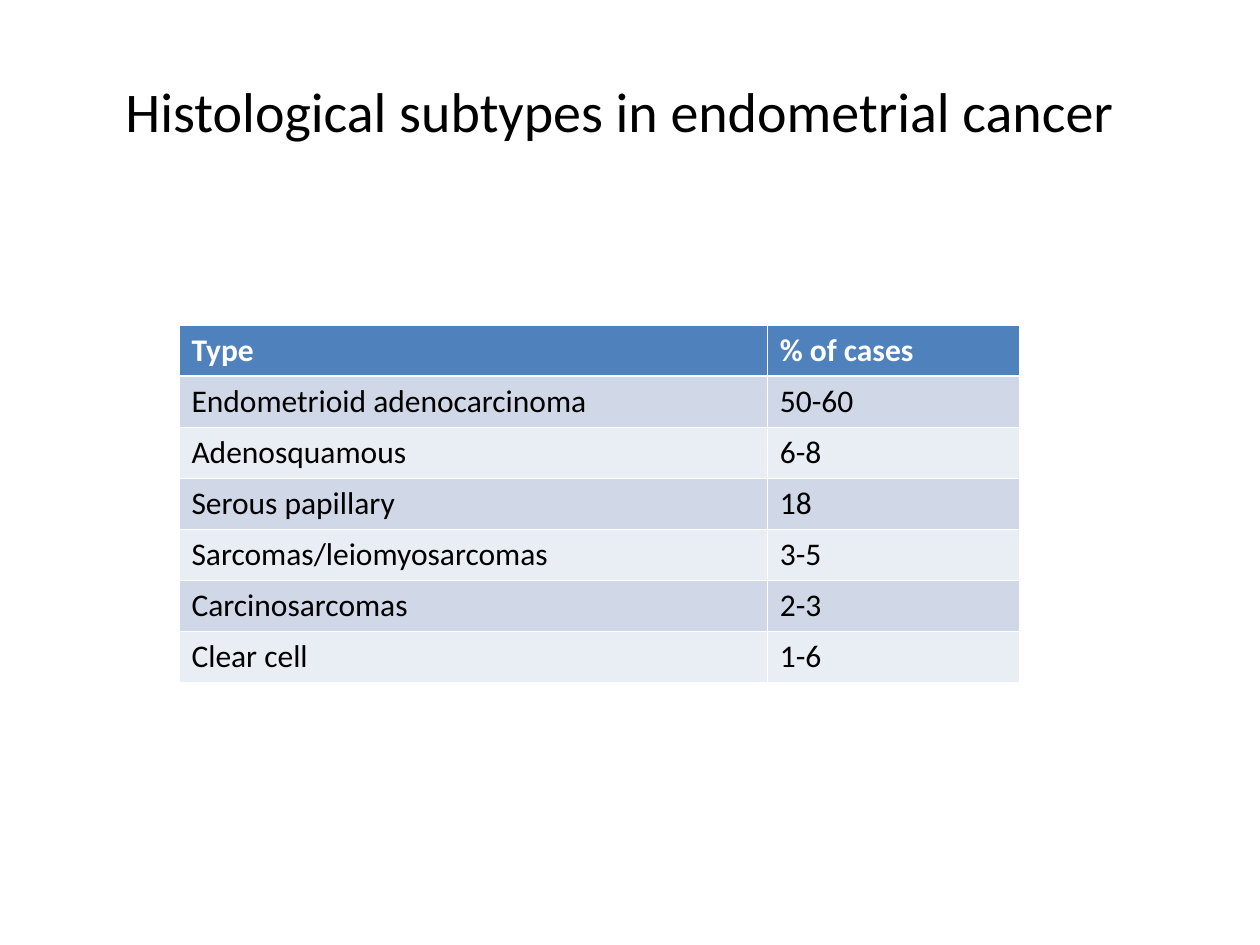
"""Build a slide tabulating the histological subtypes of endometrial cancer."""
from typing import NamedTuple

from pptx import Presentation
from pptx.dml.color import RGBColor
from pptx.enum.text import MSO_ANCHOR, PP_ALIGN
from pptx.util import Inches, Pt

BLACK = RGBColor(0x00, 0x00, 0x00)
WHITE = RGBColor(0xFF, 0xFF, 0xFF)
HEADER_BLUE = RGBColor(0x4F, 0x81, 0xBD)
BANDS = (RGBColor(0xD0, 0xD8, 0xE8), RGBColor(0xE9, 0xED, 0xF4))
FONT = "Calibri"


class Subtype(NamedTuple):
    name: str
    share: str


HEADER = Subtype("Type", "% of cases")
SUBTYPES = (
    Subtype("Endometrioid adenocarcinoma", "50-60"),
    Subtype("Adenosquamous", "6-8"),
    Subtype("Serous papillary", "18"),
    Subtype("Sarcomas/leiomyosarcomas", "3-5"),
    Subtype("Carcinosarcomas", "2-3"),
    Subtype("Clear cell", "1-6"),
)
COLUMN_WIDTHS = (4.67, 2)


def format_text(para, size: float, color: RGBColor, bold: bool = False) -> None:
    for span in para.runs:
        span.font.name = FONT
        span.font.size = Pt(size)
        span.font.bold = bold
        span.font.color.rgb = color


def set_title(page, text: str) -> None:
    title = page.shapes.title
    title.left, title.top = Inches(0.67), Inches(0.5)
    title.width, title.height = Inches(8.5), Inches(0.75)
    title.text_frame.text = text
    title.text_frame.vertical_anchor = MSO_ANCHOR.MIDDLE
    para = title.text_frame.paragraphs[0]
    para.alignment = PP_ALIGN.CENTER
    format_text(para, 32, BLACK)


def fill_row(table, index: int, subtype: Subtype) -> None:
    is_header = index == 0
    for cell, text in zip(table.rows[index].cells, subtype):
        cell.fill.solid()
        cell.fill.fore_color.rgb = HEADER_BLUE if is_header else BANDS[(index - 1) % 2]
        cell.text_frame.text = text
        format_text(cell.text_frame.paragraphs[0], 18, WHITE if is_header else BLACK, is_header)


def add_subtype_table(page, rows: tuple[Subtype, ...]) -> None:
    table = page.shapes.add_table(
        len(rows), len(COLUMN_WIDTHS),
        Inches(1.42), Inches(2.58), Inches(sum(COLUMN_WIDTHS)), Inches(2.84),
    ).table
    for column, width in zip(table.columns, COLUMN_WIDTHS):
        column.width = Inches(width)
    for index, subtype in enumerate(rows):
        fill_row(table, index, subtype)


def main() -> None:
    deck = Presentation()
    deck.slide_width, deck.slide_height = Inches(10), Inches(7.5)
    page = deck.slides.add_slide(deck.slide_layouts.get_by_name("Title Only"))
    set_title(page, "Histological subtypes in endometrial cancer")
    add_subtype_table(page, (HEADER, *SUBTYPES))
    deck.save("out.pptx")


if __name__ == "__main__":
    main()
